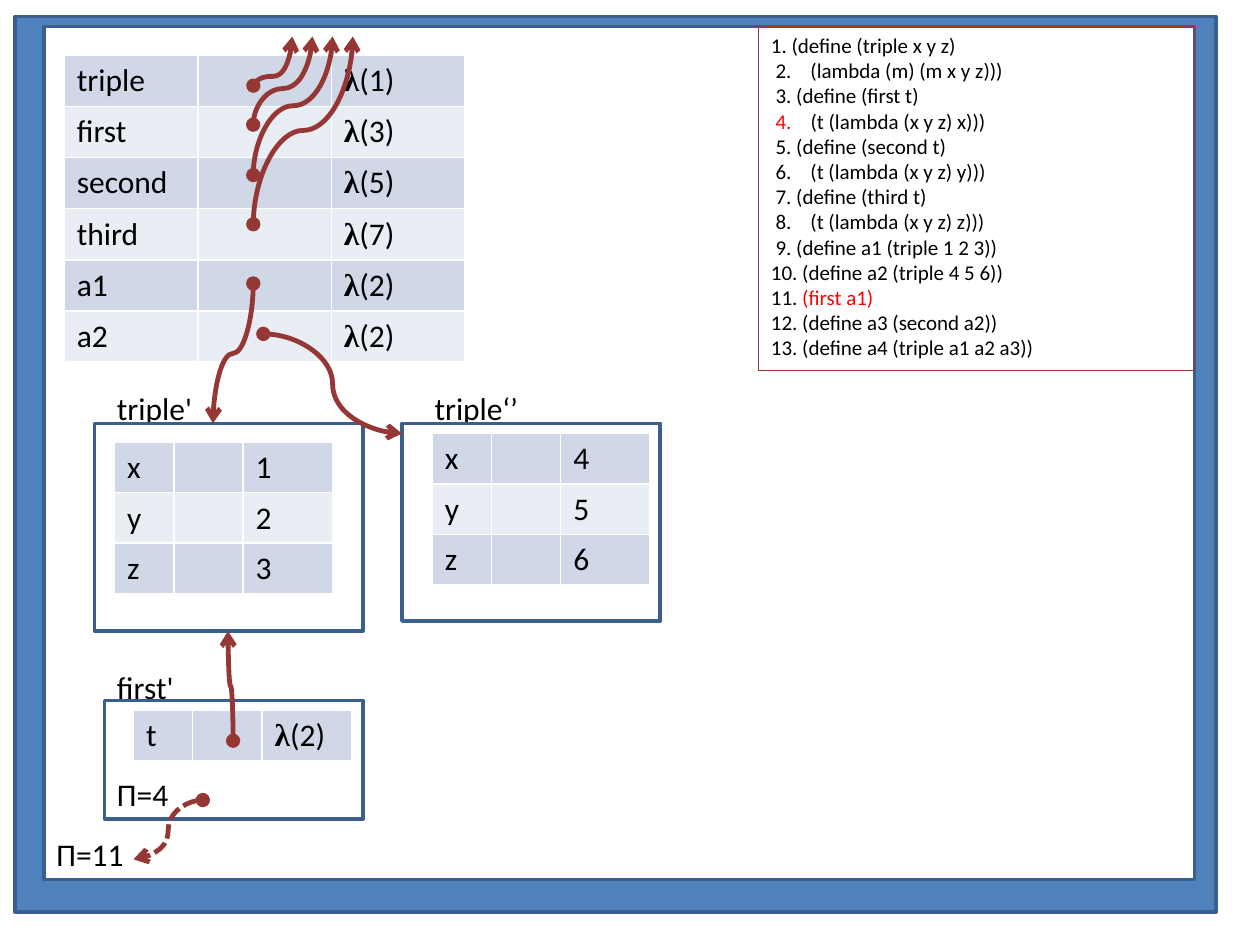
from pptx import Presentation
from pptx import util as u
from pptx.dml.color import RGBColor
from pptx.enum import shapes, text
from pptx.oxml import parse_xml
from pptx.oxml.ns import nsdecls, qn

COLORS = {"frame": "4F81BD", "edge": "3A5F8C", "white": "FFFFFF", "black": "000000",
          "arrow": "953735", "red": "FF0000", "band1": "D0D8E8", "band2": "E9EDF4"}
FONT = "Calibri"
I = u.Inches
LAMBDA = "\u03bb"
CODE = [
    [("1. (define (triple x y z)", "black")],
    [(" 2.    (lambda (m) (m x y z))) ", "black")],
    [(" 3. (define (first t)", "black")],
    [(" 4.    ", "red"), ("(t (lambda (x y z) x)))", "black")],
    [(" 5. (define (second t)", "black")],
    [(" 6.    (t (lambda (x y z) y)))", "black")],
    [(" 7. (define (third t)", "black")],
    [(" 8.    (t (lambda (x y z) z)))", "black")],
    [(" 9. (define a1 (triple 1 2 3))", "black")],
    [("10. (define a2 (triple 4 5 6))", "black")],
    [("11. ", "black"), ("(first a1)", "red")],
    [("12. (define a3 (second a2))", "black")],
    [("13. (define a4 (triple a1 a2 a3))", "black")],
]


def rgb(name):
    return RGBColor.from_string(COLORS[name])


def style(p, size=18):
    p.alignment = text.PP_ALIGN.LEFT
    p.font.size = u.Pt(size)
    p.font.name = FONT
    p.font.color.rgb = rgb("black")


def add_box(s, x, y, w, h, fill="white", edge="edge", width=2, label=None):
    sp = s.shapes.add_shape(shapes.MSO_SHAPE.RECTANGLE, I(x), I(y), I(w), I(h))
    sp.shadow.inherit = False
    if fill:
        sp.fill.solid()
        sp.fill.fore_color.rgb = rgb(fill)
    else:
        sp.fill.background()
    sp.line.color.rgb = rgb(edge)
    sp.line.width = u.Pt(width)
    if label:
        tf = sp.text_frame
        tf.vertical_anchor = text.MSO_ANCHOR.BOTTOM
        tf.text = label
        style(tf.paragraphs[0])
    return sp


def add_label(s, x, y, label):
    tf = s.shapes.add_textbox(I(x), I(y), I(1.02), I(0.4)).text_frame
    tf.word_wrap = True
    tf.text = label
    style(tf.paragraphs[0])


def add_bindings(s, x, y, widths, rows):
    row_h = 0.4
    tbl = s.shapes.add_table(len(rows), 3, I(x), I(y), I(sum(widths)),
                             I(row_h * len(rows))).table
    tbl.first_row = tbl.horz_banding = False
    for col, w in zip(tbl.columns, widths):
        col.width = I(w)
    for i, (name, value) in enumerate(rows):
        tbl.rows[i].height = I(row_h)
        for j, content in enumerate((name, "", value)):
            cell = tbl.cell(i, j)
            cell.fill.solid()
            cell.fill.fore_color.rgb = rgb("band2" if i % 2 else "band1")
            p = cell.text_frame.paragraphs[0]
            style(p)
            if content.startswith(LAMBDA):
                r = p.add_run()
                r.text = LAMBDA
                r.font.name = "Times New Roman"
                r.font.bold = True
                content = content[1:]
            if content:
                p.add_run().text = content


def add_pointer(s, start, end, vertical=True, adj=0.5, dashed=False):
    (x1, y1), (x2, y2) = start, end
    dx, dy = x2 - x1, y2 - y1
    if vertical:
        w, h = abs(dy), abs(dx)
        rot = 90 if dx * dy < 0 else 270
        flip_h, flip_v = dx > 0, dy < 0
    else:
        w, h = abs(dx), abs(dy)
        rot = 0 if dx > 0 else 180
        flip_h, flip_v = False, (dx > 0) != (dy > 0)
    left, top = (x1 + x2 - w) / 2, (y1 + y2 - h) / 2
    c = s.shapes.add_connector(shapes.MSO_CONNECTOR.CURVE, I(left), I(top),
                               I(left + w), I(top + h))
    c.line.color.rgb = rgb("arrow")
    c.line.width = u.Pt(2.75)
    pr = c._element.spPr
    xfrm = pr.find(qn("a:xfrm"))
    for key, value in (("rot", rot * 60000), ("flipH", int(flip_h)), ("flipV", int(flip_v))):
        if value:
            xfrm.set(key, str(value))
    av = pr.find(qn("a:prstGeom")).get_or_add_avLst()
    av.append(parse_xml(f'<a:gd {nsdecls("a")} name="adj1" fmla="val {round(adj * 100000)}"/>'))
    ln = c.line._get_or_add_ln()
    marks = ["prstDash val='sysDash'"] if dashed else []
    for mark in marks + ["headEnd type='oval'", "tailEnd type='arrow'"]:
        ln.append(parse_xml(f'<a:{mark} {nsdecls("a")}/>'))
    pr.append(parse_xml(f'<a:effectLst {nsdecls("a")}/>'))


def add_global_frame(s, x, y):
    names = ["triple", "first", "second", "third", "a1", "a2"]
    lines = [1, 3, 5, 7, 2, 2]
    add_bindings(s, x, y, [1.06] * 3,
                 [(n, f"{LAMBDA}({k})") for n, k in zip(names, lines)])
    starts = [0.24, 0.55, 0.95, 1.34]
    for i, (dy, adj) in enumerate(zip(starts, [0.19, 0.41, 0.5, 0.5])):
        add_pointer(s, (x + 1.5, y + dy), (x + 1.81 + 0.16 * i, y - 0.15), adj=adj)


def add_triple_frame(s, x, y, w, h, label, label_dx, table_dx, table_dy, values):
    add_label(s, x + label_dx, y - 0.32, label)
    add_box(s, x, y, w, h)
    add_bindings(s, x + table_dx, y + table_dy, [0.47, 0.55, 0.71], zip_rows(values))


def zip_rows(values):
    return list(zip("xyz", values))


def add_first_frame(s, x, y):
    add_label(s, x, y - 0.31, "first'")
    add_box(s, x, y, 2.05, 0.94, label="\u03a0=4")
    add_bindings(s, x + 0.23, y + 0.08, [0.47, 0.55, 0.71], [("t", LAMBDA + "(2)")])
    add_pointer(s, (x + 1.02, y + 0.32), (x + 0.98, y - 0.55))
    add_pointer(s, (x + 0.78, y + 0.79), (x + 0.23, y + 1.26), vertical=False, dashed=True)


def add_code(s, x, y, w, h):
    tf = add_box(s, x, y, w, h, fill=None, edge="arrow", width=0.75).text_frame
    tf.vertical_anchor = text.MSO_ANCHOR.TOP
    for i, parts in enumerate(CODE):
        p = tf.add_paragraph() if i else tf.paragraphs[0]
        style(p, 12)
        for content, color in parts:
            r = p.add_run()
            r.text = content
            r.font.color.rgb = rgb(color)


prs = Presentation()
prs.slide_width, prs.slide_height = I(10), I(7.5)
s = prs.slides.add_slide(prs.slide_layouts[6])
add_box(s, 0.12, 0.13, 9.53, 7.11, fill="frame")
add_box(s, 0.35, 0.21, 9.13, 6.77, label="\u03a0=11")
add_global_frame(s, 0.51, 0.44)
add_triple_frame(s, 0.75, 3.36, 2.13, 1.65, "triple'", 0.08, 0.16, 0.15, "123")
add_triple_frame(s, 3.19, 3.36, 2.05, 1.57, "triple\u2018\u2019", 0.16, 0.24, 0.08, "456")
add_pointer(s, (2.01, 2.25), (1.69, 3.36))
add_pointer(s, (2.09, 2.65), (3.19, 3.44), vertical=False)
add_first_frame(s, 0.83, 5.56)
add_code(s, 6.02, 0.21, 3.46, 2.73)
prs.save("out.pptx")
